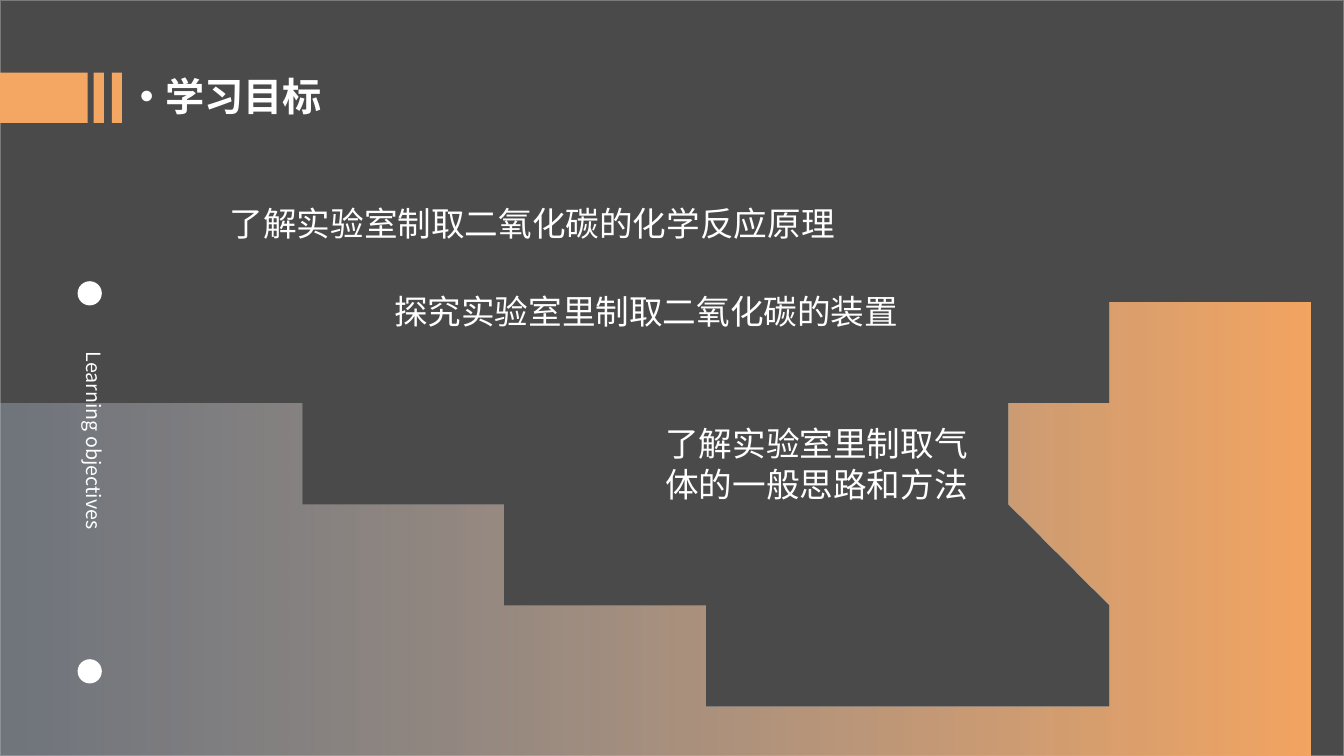
from dataclasses import dataclass

from lxml import etree
from pptx import Presentation
from pptx import util as u
from pptx.dml import color as c
from pptx.enum import shapes as es, text as et
from pptx.oxml import ns

FONT = "Noto Sans CJK SC"
COLORS = {
    "ground": "4A4A4A",
    "edge": "7A7A7A",
    "orange": "F4A663",
    "mist": "ADB9CA",
    "white": "FFFFFF",
}
RECT = es.MSO_SHAPE.RECTANGLE
OVAL = es.MSO_SHAPE.OVAL
Point = tuple[float, float]


@dataclass
class Block:
    kind: es.MSO_SHAPE
    left: float
    top: float
    width: float
    height: float
    color: str


@dataclass
class Label:
    text: str
    left: float
    top: float
    width: float
    height: float


BARS = [Block(RECT, x, 0.72, w, 0.5, "orange")
        for x, w in ((-0.2, 1.07), (0.93, 0.1), (1.11, 0.1))]
DOTS = [Block(OVAL, 0.77, y, 0.24, 0.24, "white") for y in (6.54, 2.79)]
GOALS = [
    Label("了解实验室制取二氧化碳的化学反应原理", 2.18, 1.96, 9.76, 0.5),
    Label("探究实验室里制取二氧化碳的装置", 3.81, 2.84, 6.03, 0.5),
    Label("了解实验室里制取气体的一般思路和方法", 6.5, 4.15, 3.47, 0.91),
]
CREST = [
    ((0, 4.3), (0.76, 3.91), (2.8, 3.83), (4.58, 5.15)),
    ((4.58, 5.15), (6.35, 6.48), (11.29, 8.24), (10.52, 5.59)),
    ((10.52, 5.59), (9.75, 2.95), (11.98, 3.68), (13.35, 3.15)),
]


def rgb(name: str) -> c.RGBColor:
    return c.RGBColor.from_string(COLORS[name])


def add_block(s, b: Block):
    sp = s.shapes.add_shape(b.kind, *map(u.Inches, (b.left, b.top, b.width, b.height)))
    sp.shadow.inherit = False
    sp.fill.solid()
    sp.fill.fore_color.rgb = rgb(b.color)
    sp.line.fill.background()
    return sp


def bezier(curve: tuple[Point, ...], steps: int = 40) -> list[Point]:
    points = []
    for i in range(1, steps + 1):
        t = i / steps
        weights = ((1 - t) ** 3, 3 * t * (1 - t) ** 2, 3 * t * t * (1 - t), t ** 3)
        points.append(tuple(sum(w * pt[k] for w, pt in zip(weights, curve))
                            for k in (0, 1)))
    return points


def add_wave(s) -> None:
    outline = [(0, 7.53), CREST[0][0]]
    for curve in CREST:
        outline += bezier(curve)
    fb = s.shapes.build_freeform(13.37, 7.51, scale=float(u.Inches(1)))
    fb.add_line_segments(outline, close=True)
    sp = fb.convert_to_shape()
    sp.shadow.inherit = False
    sp.line.fill.background()
    sp.fill.gradient()
    sp.fill.gradient_angle = 0
    for stop, position, name in zip(sp.fill.gradient_stops, (0, 1), ("mist", "orange")):
        stop.position = position
        stop.color.rgb = rgb(name)
    mist = next(sp._element.iter(ns.qn("a:srgbClr")))
    etree.SubElement(mist, ns.qn("a:alpha"), val="39000")


def add_label(s, label: Label, *, size: int = 24, bold: bool = False,
              bullet: bool = False, vertical: bool = False, grow: bool = True,
              spacing: float | None = None) -> None:
    sp = s.shapes.add_textbox(
        *map(u.Inches, (label.left, label.top, label.width, label.height)))
    tf = sp.text_frame
    tf.word_wrap = True
    tf.auto_size = (et.MSO_AUTO_SIZE.SHAPE_TO_FIT_TEXT if grow
                    else et.MSO_AUTO_SIZE.NONE)
    p = tf.paragraphs[0]
    if vertical:
        tf._txBody.bodyPr.set("vert", "eaVert")
        p.alignment = et.PP_ALIGN.JUSTIFY
    if bullet:
        pPr = p._p.get_or_add_pPr()
        pPr.set("marL", str(u.Inches(0.25)))
        pPr.set("indent", str(u.Inches(-0.25)))
        etree.SubElement(pPr, ns.qn("a:buFont"), typeface="Arial")
        etree.SubElement(pPr, ns.qn("a:buChar"), char="•")
    if spacing:
        p.line_spacing = spacing
    r = p.add_run()
    r.text = label.text
    r.font.size = u.Pt(size)
    r.font.bold = bold
    r.font.color.rgb = rgb("white")
    r.font.name = FONT
    etree.SubElement(r._r.get_or_add_rPr(), ns.qn("a:ea"), typeface=FONT)


def main() -> None:
    prs = Presentation()
    prs.slide_width = u.Inches(13.33)
    prs.slide_height = u.Inches(7.5)
    s = prs.slides.add_slide(prs.slide_layouts[6])
    ground = add_block(s, Block(RECT, 0, 0, 13.33, 7.5, "ground"))
    ground.line.color.rgb = rgb("edge")
    ground.line.width = u.Pt(1)
    add_wave(s)
    for b in BARS + DOTS:
        add_block(s, b)
    for goal in GOALS:
        add_label(s, goal)
    add_label(s, Label("Learning objectives", 0.66, 3.39, 0.44, 2.72),
              size=14, vertical=True)
    add_label(s, Label("学习目标", 1.29, 0.72, 3.84, 0.7),
              size=28, bold=True, bullet=True, grow=False, spacing=0.9)
    prs.save("out.pptx")


if __name__ == "__main__":
    main()
